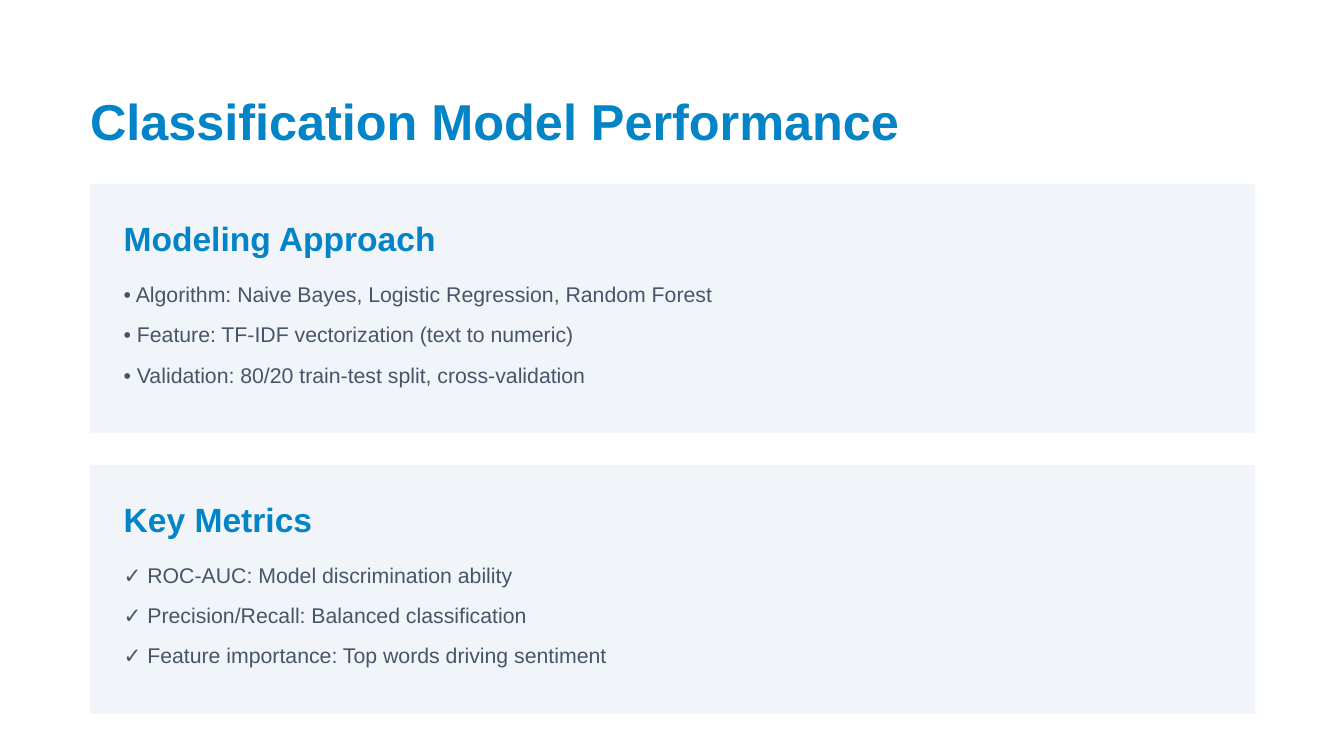
"""Build the slide on classification model performance."""
from dataclasses import dataclass

from pptx import Presentation
from pptx.dml.color import RGBColor
from pptx.enum import shapes, text
from pptx.shapes.autoshape import Shape
from pptx.slide import Slide
from pptx.util import Inches, Pt

BLUE, SLATE, PALE = "0284C7", "475569", "F1F5F9"
SLIDE_WIDTH = 10
SLIDE_HEIGHT = SLIDE_WIDTH * 9 / 16
LEFT, CARD_WIDTH, CARD_HEIGHT = 0.67, 8.67, 1.85
FIRST_CARD_TOP, CARD_PITCH = 1.37, 2.09
PADDING, TEXT_WIDTH = 0.25, 8.33
FIRST_ITEM_OFFSET, ITEM_PITCH = 0.69, 0.3


@dataclass
class TextStyle:
    size: float
    line_height: float
    color: str
    bold: bool = False


@dataclass
class Card:
    heading: str
    marker: str
    items: list[str]


TITLE = TextStyle(27, 32.4, BLUE, True)
HEADING = TextStyle(18, 21.6, BLUE, True)
ITEM = TextStyle(11.4, 16, SLATE)

CARDS = [
    Card("Modeling Approach", "•", [
        "Algorithm: Naive Bayes, Logistic Regression, Random Forest",
        "Feature: TF-IDF vectorization (text to numeric)",
        "Validation: 80/20 train-test split, cross-validation",
    ]),
    Card("Key Metrics", "✓", [
        "ROC-AUC: Model discrimination ability",
        "Precision/Recall: Balanced classification",
        "Feature importance: Top words driving sentiment",
    ]),
]


def rgb(color: str) -> RGBColor:
    return RGBColor.from_string(color)


def write(box: Shape, words: str, style: TextStyle) -> None:
    frame = box.text_frame
    frame.text = words
    frame.word_wrap = True
    frame.auto_size = text.MSO_AUTO_SIZE.NONE
    frame.vertical_anchor = text.MSO_ANCHOR.TOP
    frame.margin_left = frame.margin_right = 0
    frame.margin_top = frame.margin_bottom = 0
    para = frame.paragraphs[0]
    para.alignment = text.PP_ALIGN.LEFT
    para.line_spacing = Pt(style.line_height)
    para.font.name = "Arial"
    para.font.size = Pt(style.size)
    para.font.bold = style.bold
    para.font.color.rgb = rgb(style.color)


def add_line(page: Slide, top: float, height: float, words: str, style: TextStyle) -> None:
    box = page.shapes.add_textbox(
        Inches(LEFT + PADDING), Inches(top), Inches(TEXT_WIDTH), Inches(height))
    write(box, words, style)


def add_card(page: Slide, top: float, card: Card) -> None:
    panel = page.shapes.add_shape(
        shapes.MSO_SHAPE.RECTANGLE,
        Inches(LEFT), Inches(top), Inches(CARD_WIDTH), Inches(CARD_HEIGHT))
    panel.shadow.inherit = False
    panel.fill.solid()
    panel.fill.fore_color.rgb = rgb(PALE)
    panel.line.fill.background()
    add_line(page, top + PADDING, 0.3, card.heading, HEADING)
    for row, item in enumerate(card.items):
        item_top = top + FIRST_ITEM_OFFSET + row * ITEM_PITCH
        add_line(page, item_top, 0.22, f"{card.marker} {item}", ITEM)


def main() -> None:
    deck = Presentation()
    deck.slide_width, deck.slide_height = Inches(SLIDE_WIDTH), Inches(SLIDE_HEIGHT)
    page = deck.slides.add_slide(deck.slide_layouts.get_by_name("Title Only"))
    page.background.fill.solid()
    page.background.fill.fore_color.rgb = rgb("FFFFFF")
    title = page.shapes.title
    title.left, title.top = Inches(LEFT), Inches(0.67)
    title.width, title.height = Inches(8.84), Inches(0.45)
    write(title, "Classification Model Performance", TITLE)
    for index, card in enumerate(CARDS):
        add_card(page, FIRST_CARD_TOP + index * CARD_PITCH, card)
    deck.save("out.pptx")


if __name__ == "__main__":
    main()
